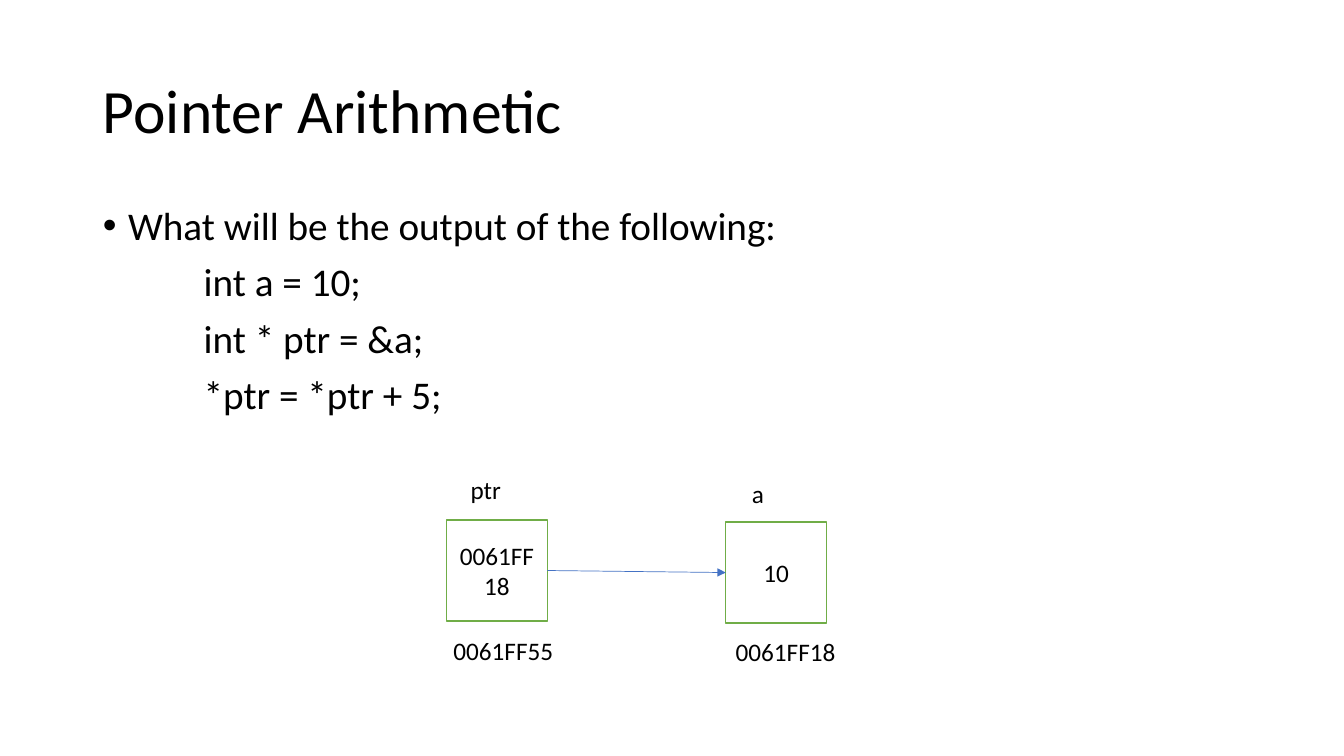
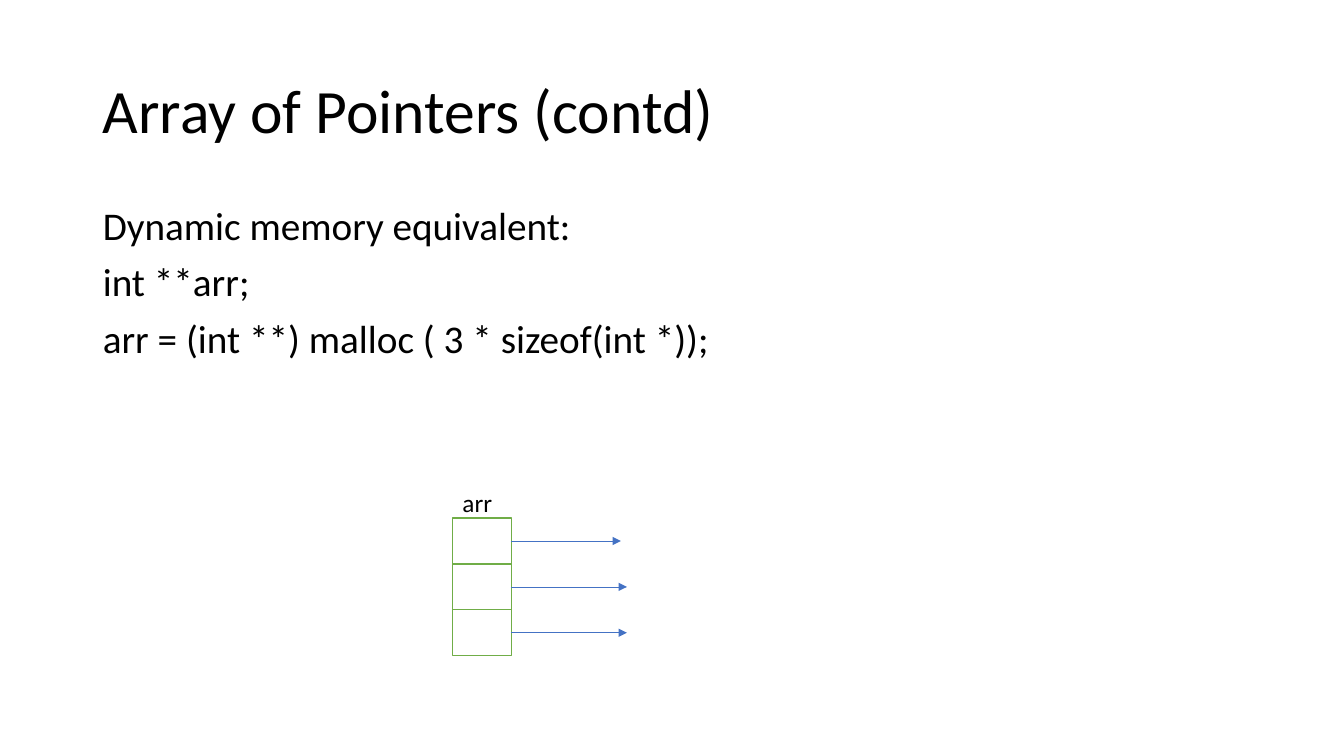
from dataclasses import dataclass

from lxml import etree
from pptx import Presentation
from pptx.dml.color import RGBColor
from pptx.enum.shapes import MSO_CONNECTOR, MSO_SHAPE
from pptx.enum.text import MSO_ANCHOR, MSO_AUTO_SIZE, PP_ALIGN
from pptx.oxml.ns import qn
from pptx.util import Inches, Pt


@dataclass(frozen=True)
class Theme:
    font: str = "Calibri"
    bullet_font: str = "Arial"
    ink: RGBColor = RGBColor(0x00, 0x00, 0x00)
    paper: RGBColor = RGBColor(0xFF, 0xFF, 0xFF)
    box_line: RGBColor = RGBColor(0x70, 0xAD, 0x47)
    arrow: RGBColor = RGBColor(0x44, 0x72, 0xC4)
    title_size: Pt = Pt(44)
    body_size: Pt = Pt(28)
    label_size: Pt = Pt(18)
    box_width: Pt = Pt(1)
    arrow_width: Pt = Pt(0.5)
    line_spacing: float = 0.9
    space_before: Pt = Pt(10)


THEME = Theme()
SLIDE_W, SLIDE_H = Inches(13.33), Inches(7.5)
COLS, ROWS = 40, 30
LEFT, WIDTH = 2.76, 34.5
TITLE_AREA = (LEFT, 1.6, WIDTH, 5.8)
BODY_AREA = (LEFT, 8, WIDTH, 19.04)
CODE_INDENT = Inches(1)
BULLET_INDENT = Inches(0.25)
RIGHT_SITE, LEFT_SITE = 3, 1


def col(n):
    return round(SLIDE_W * n / COLS)


def row(n):
    return round(SLIDE_H * n / ROWS)


def area(left, top, width, height):
    return col(left), row(top), col(width), row(height)


def add_run(p, text, size):
    r = p.add_run()
    r.text = text
    r.font.name = THEME.font
    r.font.size = size
    r.font.color.rgb = THEME.ink


def set_indent(p, margin, first, bullet):
    pPr = p._p.get_or_add_pPr()
    pPr.set("marL", str(margin))
    pPr.set("indent", str(first))
    if bullet:
        etree.SubElement(pPr, qn("a:buFont"), typeface=THEME.bullet_font)
        etree.SubElement(pPr, qn("a:buChar"), char="•")
    else:
        etree.SubElement(pPr, qn("a:buNone"))


def place(sp, box, anchor):
    sp.left, sp.top, sp.width, sp.height = area(*box)
    tf = sp.text_frame
    tf.word_wrap = True
    tf.auto_size = MSO_AUTO_SIZE.NONE
    tf.vertical_anchor = anchor
    return tf


def plain(text):
    return text, 0, 0, False


def code(text):
    return text, CODE_INDENT, 0, False


def bullet(text):
    return text, BULLET_INDENT, -BULLET_INDENT, True


def add_slide(prs, title, lines):
    s = prs.slides.add_slide(prs.slide_layouts[1])
    s.background.fill.solid()
    s.background.fill.fore_color.rgb = THEME.paper

    p = place(s.shapes.title, TITLE_AREA, MSO_ANCHOR.MIDDLE).paragraphs[0]
    p.alignment = PP_ALIGN.LEFT
    p.line_spacing = THEME.line_spacing
    add_run(p, title, THEME.title_size)

    tf = place(s.placeholders[1], BODY_AREA, MSO_ANCHOR.TOP)
    for i, (text, margin, first, has_bullet) in enumerate(lines):
        p = tf.add_paragraph() if i else tf.paragraphs[0]
        set_indent(p, margin, first, has_bullet)
        p.line_spacing = THEME.line_spacing
        p.space_before = THEME.space_before if i else Pt(0)
        add_run(p, text, THEME.body_size)
    return s


def add_box(s, box, text=""):
    sp = s.shapes.add_shape(MSO_SHAPE.RECTANGLE, *area(*box))
    sp.shadow.inherit = False
    sp.fill.solid()
    sp.fill.fore_color.rgb = THEME.paper
    sp.line.color.rgb = THEME.box_line
    sp.line.width = THEME.box_width
    if text:
        tf = sp.text_frame
        tf.word_wrap = True
        tf.vertical_anchor = MSO_ANCHOR.MIDDLE
        p = tf.paragraphs[0]
        p.alignment = PP_ALIGN.CENTER
        add_run(p, text, THEME.label_size)
    return sp


def add_label(s, text, left, top, width):
    tf = s.shapes.add_textbox(*area(left, top, width, 1.6)).text_frame
    tf.word_wrap = False
    tf.auto_size = MSO_AUTO_SIZE.SHAPE_TO_FIT_TEXT
    add_run(tf.paragraphs[0], text, THEME.label_size)


def add_arrow(s, source, end_x, end_y, target=None):
    c = s.shapes.add_connector(MSO_CONNECTOR.STRAIGHT, source.left, end_y, end_x, end_y)
    c.begin_connect(source, RIGHT_SITE)
    if target is not None:
        c.end_connect(target, LEFT_SITE)
    c.line.color.rgb = THEME.arrow
    c.line.width = THEME.arrow_width
    etree.SubElement(c.line._get_or_add_ln(), qn("a:tailEnd"), type="triangle")
    etree.SubElement(c._element.spPr, qn("a:effectLst"))


def middle(sp):
    return sp.top + sp.height // 2


def pointer_arithmetic(prs):
    s = add_slide(prs, "Pointer Arithmetic", [
        bullet("What will be the output of the following:"),
        code("int a = 10;"),
        code("int * ptr = &a;"),
        code("*ptr = *ptr + 5;"),
    ])
    ptr = add_box(s, (13.29, 20.64, 3, 4), "0061FF18")
    a = add_box(s, (21.6, 20.72, 3, 4), "10")
    for label in (
        ("ptr", 13.71, 18.64, 1.53),
        ("a", 22.08, 18.8, 0.96),
        ("0061FF18", 21.6, 25.04, 3.6),
        ("0061FF55", 13.2, 25, 3.6),
    ):
        add_label(s, *label)
    add_arrow(s, ptr, a.left, middle(a), a)


def array_of_pointers(prs):
    s = add_slide(prs, "Array of Pointers (contd)", [
        plain("Dynamic memory equivalent:"),
        plain("int **arr;"),
        plain("arr = (int **) malloc ( 3 * sizeof(int *));"),
    ])
    left, top, width, height = 13.47, 20.56, 1.75, 1.82
    arrow_ends = (18.48, 18.66, 18.66)
    cells = [add_box(s, (left, top + i * height, width, height))
             for i in range(len(arrow_ends))]
    add_label(s, "arr", left, 19.16, 1.5)
    for cell, end in zip(cells, arrow_ends):
        add_arrow(s, cell, col(end), middle(cell))


def main():
    prs = Presentation()
    prs.slide_width, prs.slide_height = SLIDE_W, SLIDE_H
    pointer_arithmetic(prs)
    array_of_pointers(prs)
    prs.save("out.pptx")


if __name__ == "__main__":
    main()
